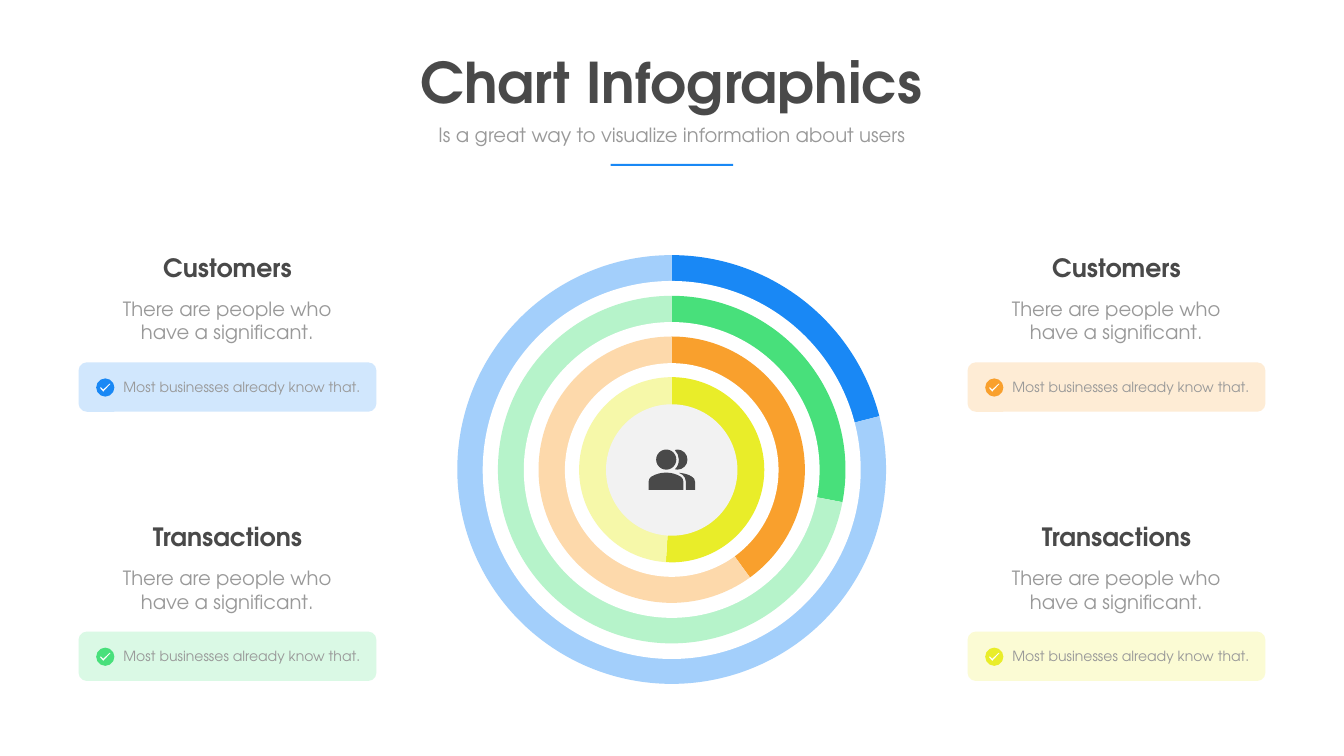
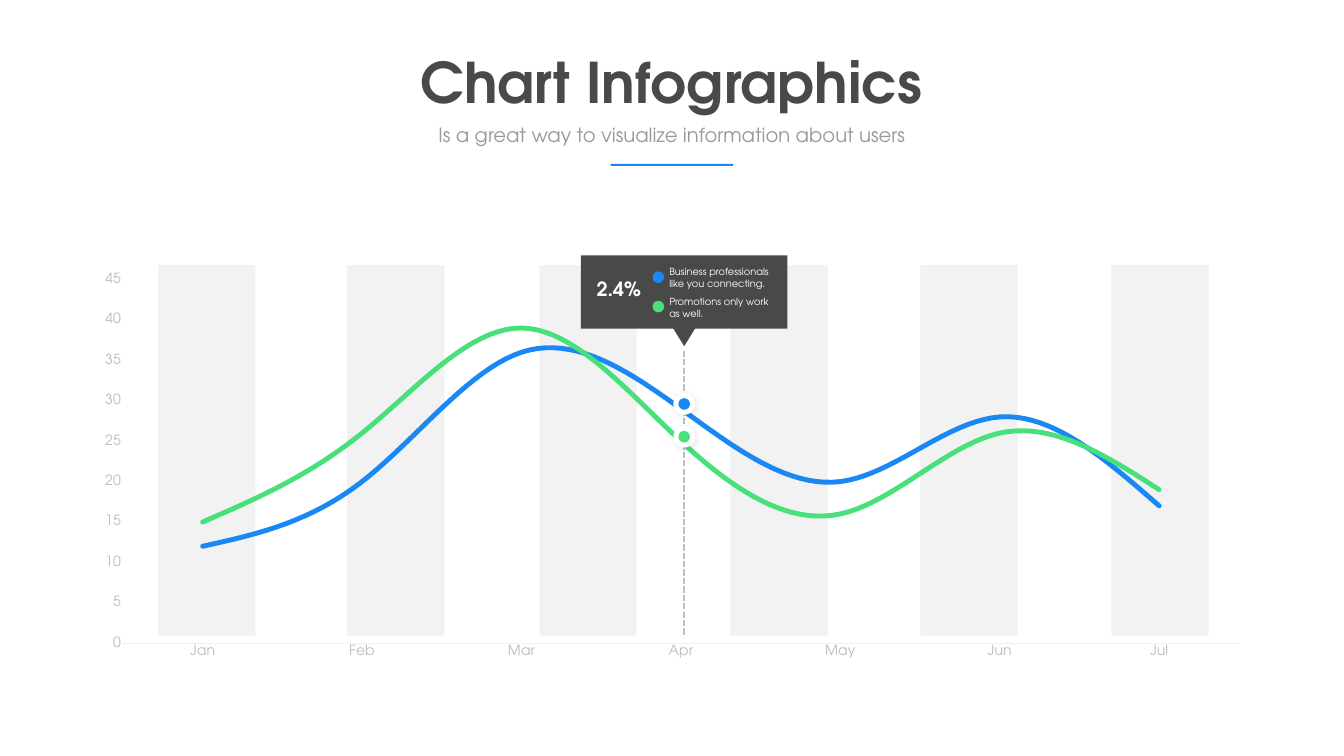
from dataclasses import dataclass

from lxml import etree
from pptx import Presentation
from pptx import util as u
from pptx.chart import data as chart_data
from pptx.dml.color import RGBColor
from pptx.enum import chart as charts
from pptx.enum import dml, shapes, text
from pptx.oxml import ns

Pt = u.Pt
FONT = "TeX Gyre Adventor"

INK = RGBColor(0x49, 0x49, 0x49)
GREY = RGBColor(0x99, 0x99, 0x99)
AXIS_TEXT = RGBColor(0xBD, 0xBD, 0xBD)
AXIS_LINE = RGBColor(0xF0, 0xF0, 0xF0)
GUIDE = RGBColor(0xBF, 0xBF, 0xBF)
BAND = RGBColor(0xF2, 0xF2, 0xF2)
WHITE = RGBColor(0xFF, 0xFF, 0xFF)
BLUE = RGBColor(0x19, 0x88, 0xF5)
GREEN = RGBColor(0x48, 0xE0, 0x7B)
ORANGE = RGBColor(0xF9, 0xA0, 0x2D)
YELLOW = RGBColor(0xE9, 0xED, 0x29)

RECT = shapes.MSO_SHAPE.RECTANGLE
OVAL = shapes.MSO_SHAPE.OVAL
ROUNDED = shapes.MSO_SHAPE.ROUNDED_RECTANGLE
TRIANGLE = shapes.MSO_SHAPE.ISOSCELES_TRIANGLE
LEFT, CENTER = text.PP_ALIGN.LEFT, text.PP_ALIGN.CENTER


@dataclass(frozen=True)
class Style:
    size: float
    color: RGBColor
    bold: bool = False
    align: text.PP_ALIGN = LEFT


TITLE = Style(80, INK, True, CENTER)
SUBTITLE = Style(28, GREY, align=CENTER)
HEADING = Style(36, INK, True, CENTER)
NOTE = Style(20, GREY)
FIGURE = Style(28, WHITE, True)
KEY = Style(14, WHITE)


@dataclass(frozen=True)
class Ring:
    color: RGBColor
    share: int


@dataclass(frozen=True)
class Card:
    heading: str
    color: RGBColor
    column: int
    row: int


@dataclass(frozen=True)
class Trend:
    name: str
    color: RGBColor
    values: tuple[int, ...]
    marker_y: float
    key: str


RINGS = [Ring(BLUE, 21), Ring(GREEN, 28), Ring(ORANGE, 40), Ring(YELLOW, 51)]
CARDS = [
    Card("Customers", BLUE, 0, 0),
    Card("Transactions", GREEN, 0, 1),
    Card("Customers", ORANGE, 1, 0),
    Card("Transactions", YELLOW, 1, 1),
]
MONTHS = ("Jan", "Feb", "Mar", "Apr", "May", "Jun", "Jul")
BAND_LEFTS = (226, 496, 770.4, 1043.3, 1314.7, 1587.6)
TRENDS = [
    Trend("Series 1", BLUE, (12, 20, 36, 29, 20, 28, 17), 577.1,
          "Business professionals like you connecting."),
    Trend("Series 2", GREEN, (15, 26, 39, 25, 16, 26, 19), 623.9,
          "Promotions only work as well."),
]

# Outlines: a start point, then line ends (2 numbers) or cubic curves (6)
BACK_SHOULDER = [
    (988.6, 681.1), (983.5, 677.5, 977, 676.1, 969.8, 675.4),
    (971.3, 676.1, 973.4, 676.8, 974.9, 678.2),
    (977.8, 680.4, 979.9, 684, 979.9, 688.3), (979.9, 699.8),
    (992.9, 699.8), (992.9, 688.3), (992.9, 685.4, 991.4, 682.6, 988.6, 681.1),
]
FRONT_SHOULDERS = [
    (972.7, 681.1), (959.8, 673.2, 943.2, 673.2, 930.2, 681.1),
    (928.1, 682.6, 926.6, 685.4, 926.6, 688.3), (926.6, 699.8),
    (976.3, 699.8), (976.3, 688.3), (976.3, 685.4, 974.9, 682.6, 972.7, 681.1),
]
BACK_HEAD = [
    (964.1, 670.3), (964.8, 671, 966.2, 671, 967.7, 671),
    (975.6, 671, 982.1, 664.6, 982.1, 656.6),
    (982.1, 648.7, 975.6, 642.2, 967.7, 642.2),
    (966.2, 642.2, 964.8, 642.6, 964.1, 643),
    (967.7, 646.6, 969.8, 651.6, 969.8, 656.6),
    (969.8, 662.4, 967.7, 667.4, 964.1, 670.3),
]
TICK = [(35.3, 199.6), (31.7, 196), (31, 197.4), (35.3, 202.4),
        (45.4, 191.6), (44.7, 190.9)]


def tint(color: RGBColor, amount: float) -> RGBColor:
    return RGBColor(*(round(c + (255 - c) * amount) for c in color))


# Drawing helpers
def fill_flat(shape, color: RGBColor) -> None:
    shape.shadow.inherit = False
    shape.fill.solid()
    shape.fill.fore_color.rgb = color
    shape.line.fill.background()


def draw(slide, kind, x: float, y: float, w: float, h: float, color: RGBColor):
    shape = slide.shapes.add_shape(kind, Pt(x), Pt(y), Pt(w), Pt(h))
    fill_flat(shape, color)
    return shape


def draw_disc(slide, cx: float, cy: float, size: float, color: RGBColor):
    return draw(slide, OVAL, cx - size / 2, cy - size / 2, size, size, color)


def draw_outline(slide, steps: list, color: RGBColor,
                 dx: float = 0, dy: float = 0) -> None:
    start, *rest = [(Pt(x + dx), Pt(y + dy)) for step in steps
                    for x, y in zip(step[::2], step[1::2])]
    builder = slide.shapes.build_freeform(*start)
    builder.add_line_segments(rest, close=True)
    shape = builder.convert_to_shape()
    fill_flat(shape, color)
    # Merge each run of three lines that stands for a cubic curve
    lines = iter(shape._element.xpath(".//a:path/a:lnTo"))
    for step in steps[1:]:
        line = next(lines)
        if len(step) == 6:
            line.tag = ns.qn("a:cubicBezTo")
            for _ in range(2):
                extra = next(lines)
                line.append(extra[0])
                extra.getparent().remove(extra)


def write(frame, words: str, style: Style) -> None:
    frame.word_wrap = True
    frame.auto_size = text.MSO_AUTO_SIZE.SHAPE_TO_FIT_TEXT
    frame.vertical_anchor = text.MSO_ANCHOR.TOP
    paragraph = frame.paragraphs[0]
    paragraph.alignment = style.align
    run = paragraph.add_run()
    run.text = words
    run.font.name = FONT
    run.font.size = Pt(style.size)
    run.font.bold = style.bold
    run.font.color.rgb = style.color


def add_text(slide, words: str, x: float, y: float, w: float, h: float,
             style: Style) -> None:
    box = slide.shapes.add_textbox(Pt(x), Pt(y), Pt(w), Pt(h))
    write(box.text_frame, words, style)


def set_font(font, name: str, size: float, color: RGBColor) -> None:
    font.name, font.size = name, Pt(size)
    font.color.rgb = color


def add_plain_chart(slide, kind, data, x: float, y: float, w: float, h: float,
                    plot: tuple[float, ...]):
    chart = slide.shapes.add_chart(kind, Pt(x), Pt(y), Pt(w), Pt(h), data).chart
    chart.has_title = chart.has_legend = False
    area = chart._chartSpace.xpath("c:chart/c:plotArea")[0]
    for old in area.findall(ns.qn("c:layout")):
        area.remove(old)
    layout = etree.Element(ns.qn("c:layout"))
    manual = etree.SubElement(layout, ns.qn("c:manualLayout"))
    settings = [("layoutTarget", "inner"), ("xMode", "edge"), ("yMode", "edge"),
                *zip("xywh", map(str, plot))]
    for tag, value in settings:
        etree.SubElement(manual, ns.qn(f"c:{tag}")).set("val", value)
    area.insert(0, layout)
    return chart


def add_titled_slide(prs):
    slide = prs.slides.add_slide(prs.slide_layouts[5])
    title = slide.shapes.title
    title.left, title.top, title.width, title.height = map(
        Pt, (495, 64.8, 929, 104.4))
    write(title.text_frame, "Chart Infographics", TITLE)
    add_text(slide, "Is a great way to visualize information about users",
             615.6, 171.4, 688.3, 41, SUBTITLE)
    draw(slide, RECT, 872.4, 234, 175, 2.9, BLUE)
    return slide


# Rings slide
def add_ring(slide, ring: Ring, cx: float, cy: float, size: float) -> None:
    data = chart_data.CategoryChartData()
    data.categories = ("1", "2")
    data.add_series("Series 1", (ring.share, 100 - ring.share))
    chart = add_plain_chart(slide, charts.XL_CHART_TYPE.PIE, data,
                            cx - size / 2, cy - size / 2, size, size,
                            (0.005, 0.005, 0.99, 0.988))
    set_font(chart.font, "Calibri", 10, GREY)
    chart.plots[0].vary_by_categories = False
    series = chart.plots[0].series[0]
    for index, color in enumerate((ring.color, tint(ring.color, 0.6))):
        look = series.points[index].format
        look.fill.solid()
        look.fill.fore_color.rgb = color
        look.line.fill.background()


def add_card(slide, card: Card) -> None:
    x, y = 112.2 + 1270 * card.column, 357 + 384.6 * card.row
    add_text(slide, card.heading, x - 26, y, 477.4, 51, HEADING)
    add_text(slide, "There are people who have a significant.",
             x + 35.4, y + 63.4, 354, 75, SUBTITLE)
    draw(slide, ROUNDED, x, y + 160.6, 425.5, 70.6, tint(card.color, 0.8))
    draw_disc(slide, x + 38.2, y + 196.6, 26, card.color)
    draw_outline(slide, TICK, WHITE, x, y)
    add_text(slide, "Most businesses already know that.",
             x + 56.9, y + 180, 360, 31.7, NOTE)


def build_rings(prs) -> None:
    slide = add_titled_slide(prs)
    cx, cy = 959.6, 671.4
    for index, ring in enumerate(RINGS):
        size = 620 - 117.4 * index
        add_ring(slide, ring, cx, cy, size)
        draw_disc(slide, cx, cy, size - 80, BAND if ring is RINGS[-1] else WHITE)
    # People icon
    for outline in (BACK_SHOULDER, FRONT_SHOULDERS, BACK_HEAD):
        draw_outline(slide, outline, INK)
    draw_disc(slide, 951.8, 656.6, 28.8, INK)
    for card in CARDS:
        add_card(slide, card)


# Trends slide
def add_trend_chart(slide) -> None:
    data = chart_data.CategoryChartData()
    data.categories = MONTHS
    for trend in TRENDS:
        data.add_series(trend.name, trend.values)
    chart = add_plain_chart(slide, charts.XL_CHART_TYPE.LINE, data,
                            116.6, 378.7, 1687, 572.4,
                            (0.035, 0.036, 0.945, 0.908))
    set_font(chart.font, FONT, 20, GREY)
    for axis in (chart.category_axis, chart.value_axis):
        axis.major_tick_mark = axis.minor_tick_mark = charts.XL_TICK_MARK.NONE
        axis.has_major_gridlines = False
        set_font(axis.tick_labels.font, FONT, 20, AXIS_TEXT)
    months, amounts = chart.category_axis, chart.value_axis
    months.format.line.color.rgb = AXIS_LINE
    months.format.line.width = Pt(0.75)
    amounts.format.line.fill.background()
    amounts.minimum_scale, amounts.maximum_scale, amounts.major_unit = 0, 45, 5
    for series, trend in zip(chart.plots[0].series, TRENDS):
        series.smooth = True
        series.marker.style = charts.XL_MARKER_STYLE.NONE
        series.format.line.color.rgb = trend.color
        series.format.line.width = Pt(7)
    for line in chart._chartSpace.xpath(".//c:ser/c:spPr/a:ln"):
        line.set("cap", "rnd")


def add_soft_shadow(shape) -> None:
    effects = shape._element.spPr.find(ns.qn("a:effectLst"))
    shadow = etree.SubElement(effects, ns.qn("a:outerShdw"), blurRad=str(Pt(10)),
                              dist=str(Pt(3)), dir=str(45 * 60000))
    black = etree.SubElement(shadow, ns.qn("a:srgbClr"), val="000000")
    etree.SubElement(black, ns.qn("a:alpha"), val="10000")


def build_trends(prs) -> None:
    slide = add_titled_slide(prs)
    for left in BAND_LEFTS:
        draw(slide, RECT, left, 378.7, 139, 529.2, BAND)
    add_trend_chart(slide)

    # April guide and its markers
    april = 977.4
    guide = slide.shapes.add_connector(shapes.MSO_CONNECTOR.STRAIGHT, Pt(april),
                                       Pt(501.1), Pt(april), Pt(908.6))
    guide.line.color.rgb = GUIDE
    guide.line.width = Pt(3)
    guide.line.dash_style = dml.MSO_LINE.SQUARE_DOT
    etree.SubElement(guide._element.spPr, ns.qn("a:effectLst"))
    for trend in TRENDS:
        add_soft_shadow(draw_disc(slide, april, trend.marker_y, 31, WHITE))
        draw_disc(slide, april, trend.marker_y, 16.6, trend.color)

    # Callout
    draw(slide, RECT, april - 147.6, 365, 295.2, 104.4, INK)
    draw(slide, TRIANGLE, april - 24.85, 454.3, 49.7, 40.3, INK).rotation = 180
    add_text(slide, "2.4%", 845.3, 392.4, 91.4, 41, FIGURE)
    for index, trend in enumerate(TRENDS):
        y = 376.6 + 42 * index
        draw_disc(slide, 940.5, y + 19.4, 16.6, trend.color)
        add_text(slide, trend.key, 949, y, 160, 41, KEY)


def main() -> None:
    prs = Presentation()
    prs.slide_width, prs.slide_height = Pt(1920), Pt(1080)
    build_rings(prs)
    build_trends(prs)
    prs.save("out.pptx")


if __name__ == "__main__":
    main()
